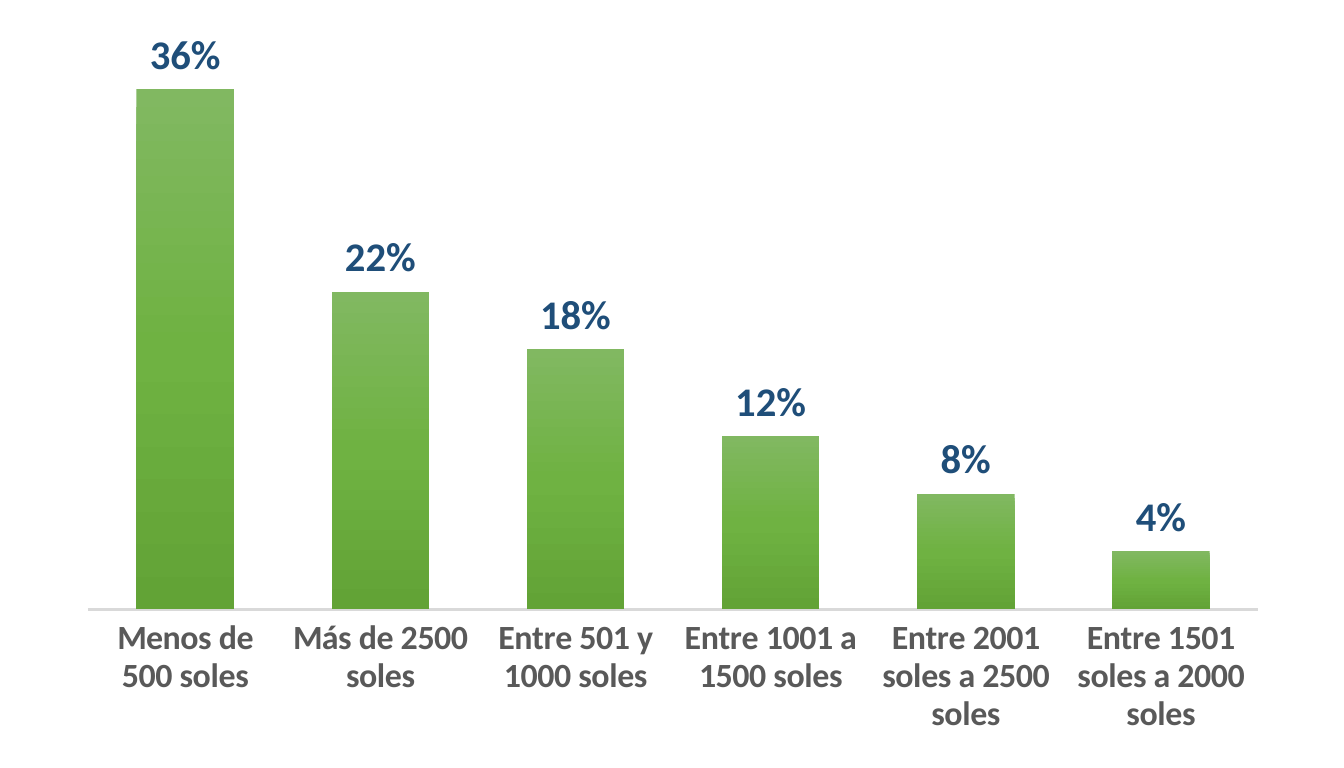
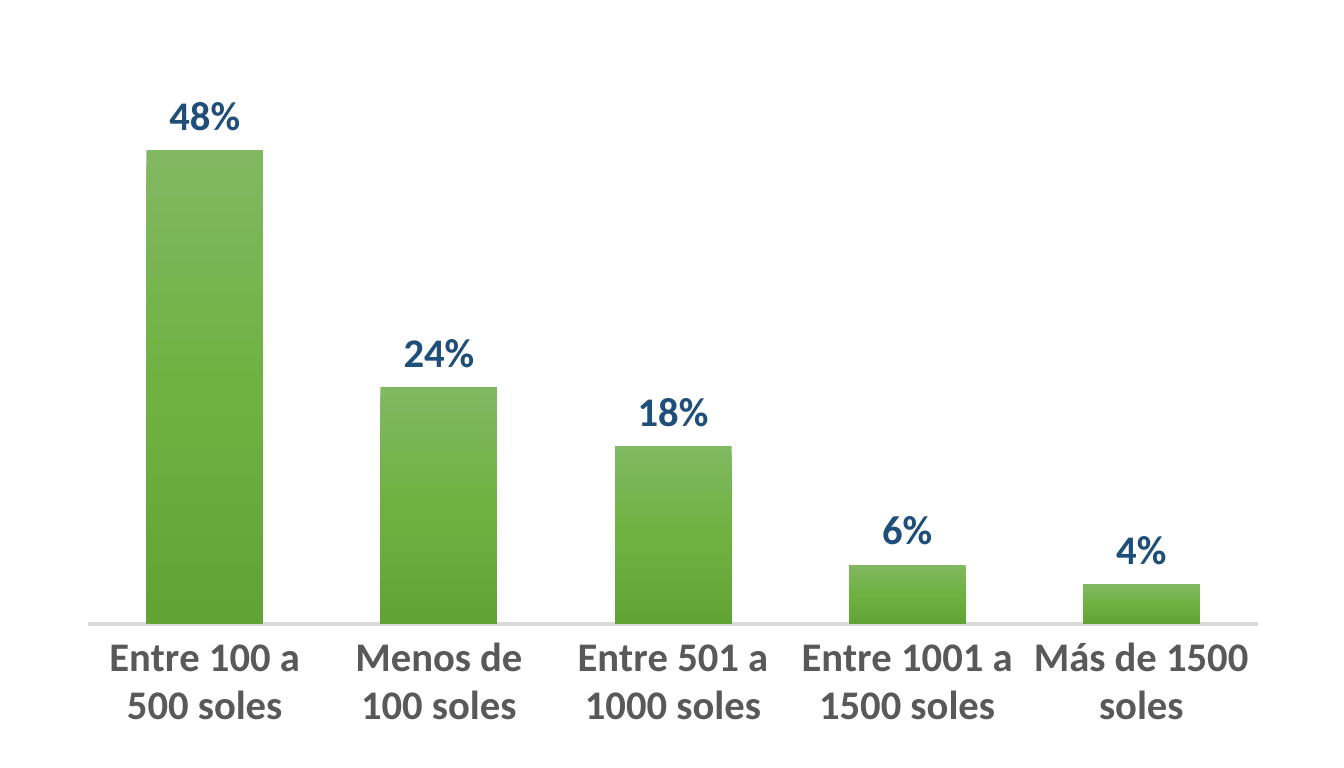
from lxml import etree
from pptx import Presentation
from pptx import util as u
from pptx.chart import data
from pptx.dml import color
from pptx.enum import chart as ch
from pptx.oxml import parse_xml
from pptx.oxml import ns

FACE = "Calibri"
HUES = {
    "text": "595959", "label": "1F4E79", "line": "D9D9D9", "black": "000000",
    "top": "81B861", "mid": "6FB242", "base": "62A336",
}
INCOME = {
    "Menos de 500 soles": 0.36,
    "Más de 2500 soles": 0.22,
    "Entre 501 y 1000 soles": 0.18,
    "Entre 1001 a 1500 soles": 0.12,
    "Entre 2001 soles a 2500 soles": 0.08,
    "Entre 1501 soles a 2000 soles": 0.04,
}
SPEND = {
    "Entre 100 a 500 soles": 0.48,
    "Menos de 100 soles": 0.24,
    "Entre 501 a 1000 soles": 0.18,
    "Entre 1001 a 1500 soles": 0.06,
    "Más de 1500 soles": 0.04,
}


def rgb(name):
    return color.RGBColor.from_string(HUES[name])


def style(font, size, hue, bold=False):
    font.name = FACE
    font.size = u.Pt(size)
    font.bold = bold
    font.color.rgb = rgb(hue)


def shade(bars):
    stops = "".join(
        f'<a:gs pos="{spot * 1000}"><a:srgbClr val="{HUES[name]}"/></a:gs>'
        for spot, name in ((0, "top"), (50, "mid"), (100, "base"))
    )
    fill = parse_xml(
        f'<a:gradFill {ns.nsdecls("a")} rotWithShape="1"><a:gsLst>{stops}</a:gsLst>'
        '<a:lin ang="5400000" scaled="0"/></a:gradFill>'
    )
    bars._element.get_or_add_spPr().insert(0, fill)


def place(chart, **box):
    area = chart._chartSpace.chart.plotArea
    for old in area.findall(ns.qn("c:layout")):
        area.remove(old)
    layout = etree.Element(ns.qn("c:layout"))
    manual = etree.SubElement(layout, ns.qn("c:manualLayout"))
    parts = {"layoutTarget": "inner", "xMode": "edge", "yMode": "edge", **box}
    for tag, val in parts.items():
        etree.SubElement(manual, ns.qn(f"c:{tag}")).set("val", str(val))
    area.insert(0, layout)


def columns(slide, shares, size, peak, depth):
    source = data.CategoryChartData(number_format="0%")
    source.categories = list(shares)
    source.add_series("Series 1", list(shares.values()))
    chart = slide.shapes.add_chart(
        ch.XL_CHART_TYPE.COLUMN_CLUSTERED,
        u.Inches(0.26), u.Inches(0.07), u.Inches(5), u.Inches(3), source,
    ).chart
    chart.has_legend = False
    chart.has_title = False
    style(chart.font, 10, "black")

    scale = chart.value_axis
    scale.visible = False
    scale.has_major_gridlines = False
    scale.minimum_scale, scale.maximum_scale = 0, peak
    scale.tick_labels.number_format = "0%"
    scale.tick_labels.number_format_is_linked = False

    axis = chart.category_axis
    axis.major_tick_mark = axis.minor_tick_mark = ch.XL_TICK_MARK.NONE
    axis.format.line.color.rgb = rgb("line")
    axis.format.line.width = u.Pt(1)
    style(axis.tick_labels.font, size, "text", bold=True)

    plot = chart.plots[0]
    plot.gap_width, plot.overlap = 100, -24
    plot.vary_by_categories = False
    bars = plot.series[0]
    shade(bars)
    labels = bars.data_labels
    labels.show_value = True
    labels.number_format = "0%"
    labels.number_format_is_linked = False
    labels.position = ch.XL_LABEL_POSITION.OUTSIDE_END
    style(labels.font, 12, "label", bold=True)
    place(chart, x=0.02, y=0.02, w=0.96, h=depth)


def main():
    deck = Presentation()
    deck.slide_width, deck.slide_height = u.Inches(5.51), u.Inches(3.15)
    blank = deck.slide_layouts[6]
    for shares, size, peak, depth in (
        (INCOME, 10, 0.4, 0.79),
        (SPEND, 12, 0.6, 0.81),
    ):
        columns(deck.slides.add_slide(blank), shares, size, peak, depth)
    deck.save("out.pptx")


main()
